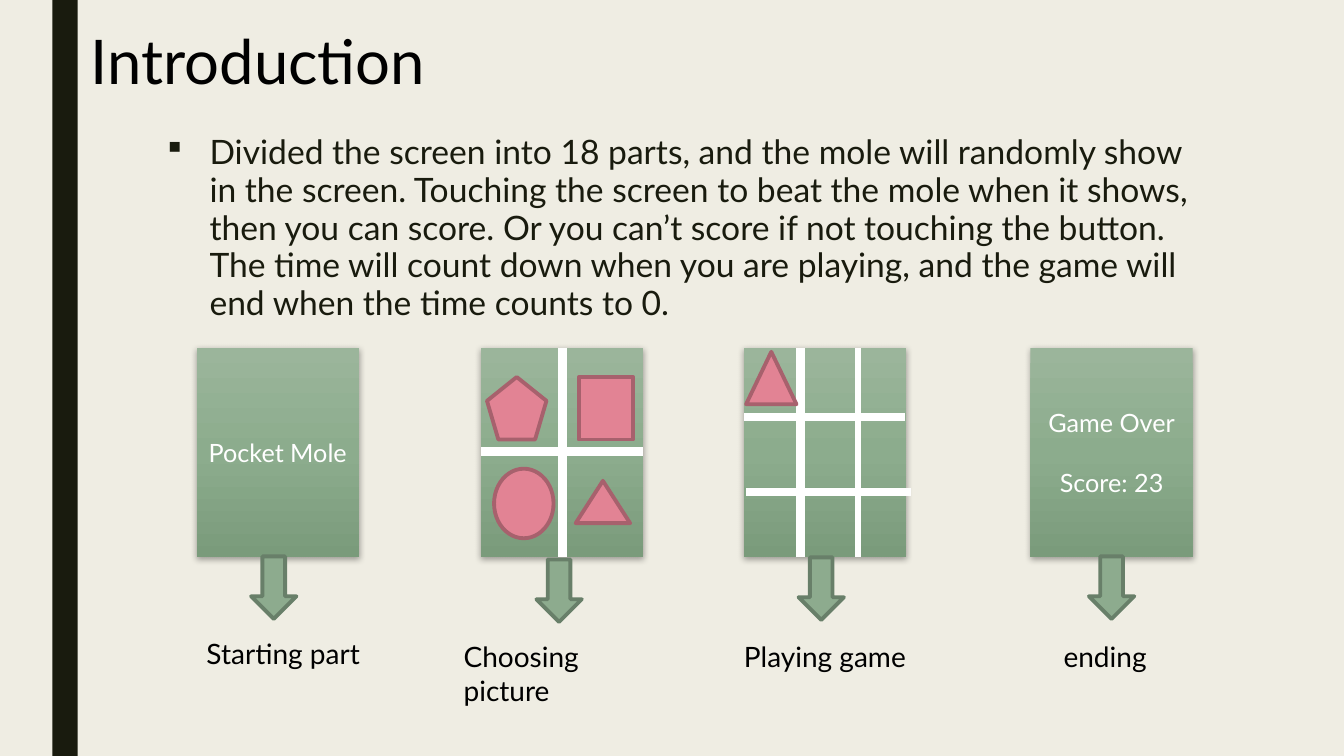
"""Builds the introduction slide of a mole game with its four screens."""
import pptx
import pptx.dml.color
import pptx.enum.shapes
import pptx.enum.text
import pptx.oxml
import pptx.oxml.ns
import pptx.util

Inches, Pt = pptx.util.Inches, pptx.util.Pt
SHAPE = pptx.enum.shapes.MSO_SHAPE
ALIGN = pptx.enum.text.PP_ALIGN
ANCHOR = pptx.enum.text.MSO_ANCHOR

COLORS = {
    "background": "EFEDE3", "dark": "191B0E", "black": "000000", "white": "FFFFFF",
    "target": "E28394", "target edge": "A7616D",
    "arrow": "8DAB8E", "arrow edge": "687F69",
}
SCREEN_GRADIENT = [(0, "9BB59B"), (50, "8CAC8D"), (100, "7A9B7B")]
FONT = "Lato"
TITLE = "Introduction"
RULES = (
    "Divided the screen into 18 parts, and the mole will randomly show in the screen. "
    "Touching the screen to beat the mole when it shows, then you can score. "
    "Or you can\u2019t score if not touching the button. The time will count down when "
    "you are playing, and the game will end when the time counts to 0."
)
SCREEN_TOP, SCREEN_WIDTH, SCREEN_HEIGHT = 3.45, 1.61, 2.08
ARROW_SIZE = (0.45, 0.62)
STAGES = [
    {"left": 1.95, "lines": ["Pocket Mole"], "arrow": (2.49, 5.52),
     "caption": ("Starting part", 1.95, 6.27, 1.87)},
    {"left": 4.77, "lines": [], "arrow": (5.32, 5.55),
     "caption": ("Choosing picture", 4.5, 6.3, 2.2)},
    {"left": 7.38, "lines": [], "arrow": (7.92, 5.53),
     "caption": ("Playing game", 7.28, 6.3, 1.9)},
    {"left": 10.22, "lines": ["Game Over", "Score: 23"], "arrow": (10.8, 5.52),
     "caption": ("ending", 10.45, 6.3, 1.61)},
]
ROW_DIVIDERS = [(7.38, 8.98, 4.14), (7.4, 9.04, 4.88), (4.77, 6.38, 4.48)]
COLUMN_DIVIDERS = [(7.94, 6), (8.51, 4.5), (5.58, 6)]
TARGETS = [
    (SHAPE.REGULAR_PENTAGON, 4.83, 3.74, 0.59, 0.62),
    (SHAPE.RECTANGLE, 5.74, 3.74, 0.54, 0.62),
    (SHAPE.OVAL, 4.9, 4.65, 0.59, 0.69),
    (SHAPE.ISOSCELES_TRIANGLE, 5.71, 4.77, 0.54, 0.42),
    (SHAPE.ISOSCELES_TRIANGLE, 7.4, 3.49, 0.5, 0.52),
]


def rgb(name):
    return pptx.dml.color.RGBColor.from_string(COLORS[name])


def xml(tag, body, attributes=""):
    return pptx.oxml.parse_xml(
        f'<a:{tag} {pptx.oxml.ns.nsdecls("a")} {attributes}>{body}</a:{tag}>')


def write(paragraph, text, size, color):
    run = paragraph.add_run()
    run.text = text
    run.font.name, run.font.size = FONT, Pt(size)
    run.font.color.rgb = rgb(color)


def add_preset(kind, left, top, width, height, fill=None, edge=None):
    shape = slide.shapes.add_shape(kind, *map(Inches, (left, top, width, height)))
    shape.shadow.inherit = False
    if fill:
        shape.fill.solid()
        shape.fill.fore_color.rgb = rgb(fill)
    if edge:
        shape.line.color.rgb = rgb(edge)
        shape.line.width = Pt(2.75)
    else:
        shape.line.fill.background()
    return shape


def add_screen(left, lines):
    screen = add_preset(SHAPE.RECTANGLE, left, SCREEN_TOP, SCREEN_WIDTH, SCREEN_HEIGHT)
    stops = "".join(f'<a:gs pos="{at * 1000}"><a:srgbClr val="{color}"/></a:gs>'
                    for at, color in SCREEN_GRADIENT)
    properties = screen.element.spPr
    properties.find(pptx.oxml.ns.qn("a:ln")).addprevious(
        xml("gradFill", f'<a:gsLst>{stops}</a:gsLst><a:lin ang="5400000" scaled="0"/>'))
    properties.find(pptx.oxml.ns.qn("a:effectLst")).append(xml(
        "outerShdw", '<a:srgbClr val="000000"><a:alpha val="35000"/></a:srgbClr>',
        f'blurRad="{Pt(4.5)}" dist="{Pt(1.5)}" dir="5400000" rotWithShape="0"'))
    frame = screen.text_frame
    frame.vertical_anchor = ANCHOR.MIDDLE
    for index, line in enumerate(lines):
        paragraph = frame.add_paragraph() if index else frame.paragraphs[0]
        paragraph.alignment = ALIGN.CENTER
        paragraph.space_before = Pt(21.6 if index else 0)
        write(paragraph, line, 18, "white")


def add_text(text, left, top, width, height, size, color):
    box = slide.shapes.add_textbox(*map(Inches, (left, top, width, height)))
    box.text_frame.word_wrap = True
    paragraph = box.text_frame.paragraphs[0]
    write(paragraph, text, size, color)
    return paragraph


def add_divider(x1, y1, x2, y2, weight):
    divider = slide.shapes.add_connector(
        pptx.enum.shapes.MSO_CONNECTOR.STRAIGHT, *map(Inches, (x1, y1, x2, y2)))
    divider.line.color.rgb = rgb("white")
    divider.line.width = Pt(weight)
    divider.element.spPr.append(xml("effectLst", ""))


deck = pptx.Presentation()
deck.slide_width, deck.slide_height = Inches(13.33), Inches(7.5)
slide = deck.slides.add_slide(deck.slide_layouts[5])
slide.background.fill.solid()
slide.background.fill.fore_color.rgb = rgb("background")

add_preset(SHAPE.RECTANGLE, 0.52, 0, 0.25, 7.5, "dark")

title = slide.shapes.title
title.left, title.top, title.width, title.height = map(Inches, (0.8, 0.18, 7.81, 0.84))
title.text_frame.vertical_anchor = ANCHOR.TOP
title.text_frame.paragraphs[0].alignment = ALIGN.LEFT
write(title.text_frame.paragraphs[0], TITLE, 44, "black")

rules = add_text(RULES, 1.56, 1.28, 10.5, 2, 24, "dark")
rules.line_spacing = 0.94
indents = rules._p.get_or_add_pPr()
indents.set("marL", str(Inches(0.42)))
indents.set("indent", str(Inches(-0.42)))
indents.append(xml("buFont", "", 'typeface="Wingdings"'))
indents.append(xml("buChar", "", 'char="\u00a7"'))

for stage in STAGES:
    add_screen(stage["left"], stage["lines"])
for start, end, y in ROW_DIVIDERS:
    add_divider(start, y, end, y, 6)
for x, weight in COLUMN_DIVIDERS:
    add_divider(x, SCREEN_TOP, x, SCREEN_TOP + SCREEN_HEIGHT, weight)
for target in TARGETS:
    add_preset(*target, "target", "target edge")
for stage in STAGES:
    add_preset(SHAPE.DOWN_ARROW, *stage["arrow"], *ARROW_SIZE, "arrow", "arrow edge")
    caption, left, top, width = stage["caption"]
    add_text(caption, left, top, width, 0.44, 20, "black")

deck.save("out.pptx")
